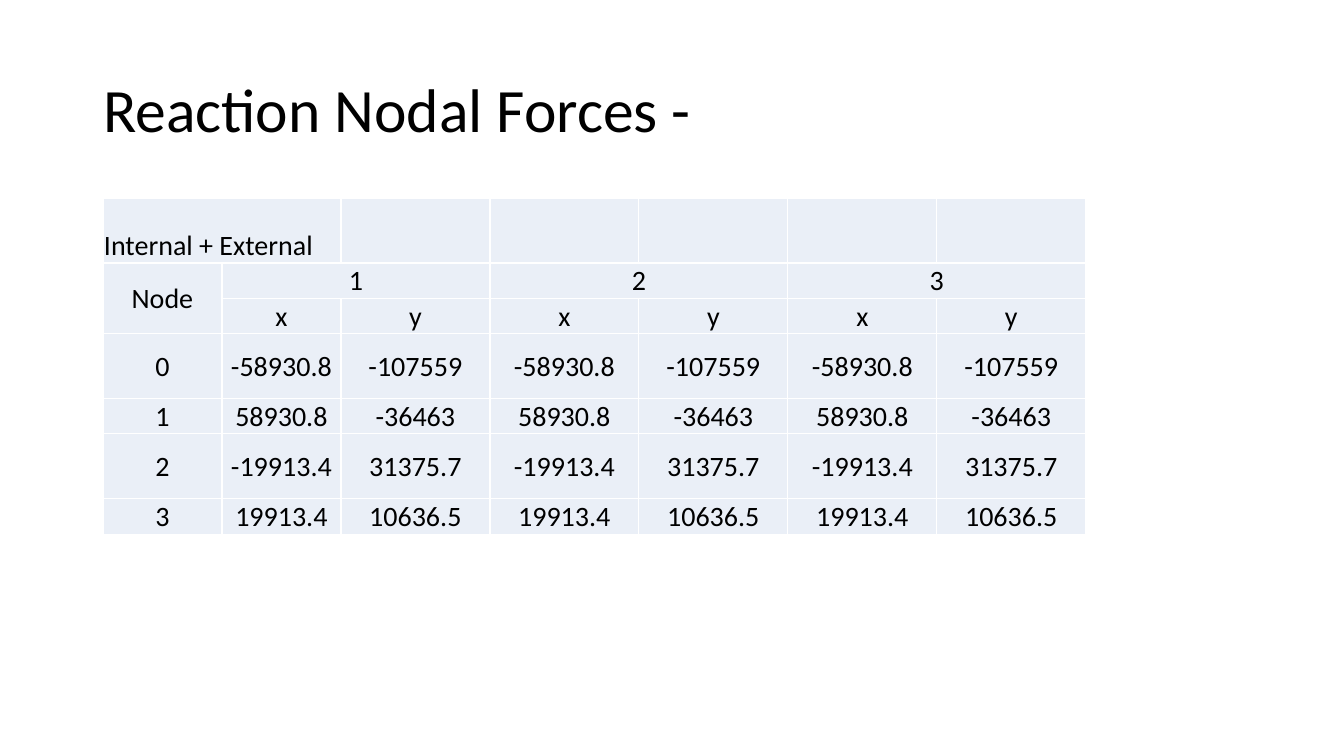
from lxml import etree
from pptx import Presentation
from pptx import util as u
from pptx.dml.color import RGBColor
from pptx.enum import text as t
from pptx.oxml.ns import qn


class Theme:
    font = "Calibri"
    ink = RGBColor.from_string("000000")
    cell = RGBColor.from_string("EAEFF7")
    rule = "FFFFFF"
    head = u.Pt(44)
    body = u.Pt(20)
    line = u.Pt(1)


def px(n):
    return round(n * 914400 / 100.8)


def apply(obj, **values):
    for key, value in values.items():
        setattr(obj, key, value)


def style(para, size, align):
    para.alignment = align
    apply(para.font, name=Theme.font, size=size, bold=False)
    para.font.color.rgb = Theme.ink


def edge(cell):
    """Draw the four borders; they must come before the fill."""
    props = cell._tc.get_or_add_tcPr()
    for i, side in enumerate("LRTB"):
        line = etree.Element(qn(f"a:ln{side}"), w=str(Theme.line))
        fill = etree.SubElement(line, qn("a:solidFill"))
        etree.SubElement(fill, qn("a:srgbClr"), val=Theme.rule)
        props.insert(i, line)


def title(slide, box, words):
    shape = slide.shapes.title
    apply(shape, **dict(zip(("left", "top", "width", "height"), map(px, box))))
    frame = shape.text_frame
    apply(frame, text=words, word_wrap=True,
          vertical_anchor=t.MSO_ANCHOR.MIDDLE)
    para = frame.paragraphs[0]
    para.line_spacing = 0.9
    style(para, Theme.head, t.PP_ALIGN.LEFT)


def forces(slide, spot, cols, rows, data, spans):
    box = (*spot, sum(cols), sum(rows))
    table = slide.shapes.add_table(len(rows), len(cols), *map(px, box)).table
    apply(table, first_row=False, horz_banding=False)
    for col, width in zip(table.columns, cols):
        col.width = px(width)
    for row, height in zip(table.rows, rows):
        row.height = px(height)
    for start, end in spans:
        table.cell(*start).merge(table.cell(*end))

    for r, line in enumerate(data):
        for c, words in enumerate(line):
            cell = table.cell(r, c)
            apply(cell, text=words, margin_left=px(1), margin_right=px(1),
                  margin_top=px(1), margin_bottom=0,
                  vertical_anchor=t.MSO_ANCHOR.MIDDLE if r
                  else t.MSO_ANCHOR.BOTTOM)
            style(cell.text_frame.paragraphs[0], Theme.body,
                  t.PP_ALIGN.CENTER if r else t.PP_ALIGN.LEFT)
            cell.fill.solid()
            cell.fill.fore_color.rgb = Theme.cell
            edge(cell)


# Slide
deck = Presentation()
apply(deck, slide_width=px(1344), slide_height=px(756))
page = deck.slides.add_slide(deck.slide_layouts[5])
title(page, (93, 40, 1159, 146), "Reaction Nodal Forces -")

# Nodal forces: the same x, y pair under each of the three groups
pairs = [("-58930.8", "-107559"), ("58930.8", "-36463"),
         ("-19913.4", "31375.7"), ("19913.4", "10636.5")]
data = [["Internal + External"] + [""] * 6,
        ["Node", "1", "", "2", "", "3", ""],
        ["", *("x", "y") * 3]]
data += [[str(node), *pair * 3] for node, pair in enumerate(pairs)]
spans = [((0, 0), (0, 1)), ((1, 0), (2, 0))]
spans += [((1, c), (1, c + 1)) for c in (1, 3, 5)]
tall, low = 65, 35
forces(page, (103, 198), [119] * 2 + [149] * 5,
       [tall, low, low] + [tall, low] * 2, data, spans)

deck.save("out.pptx")
